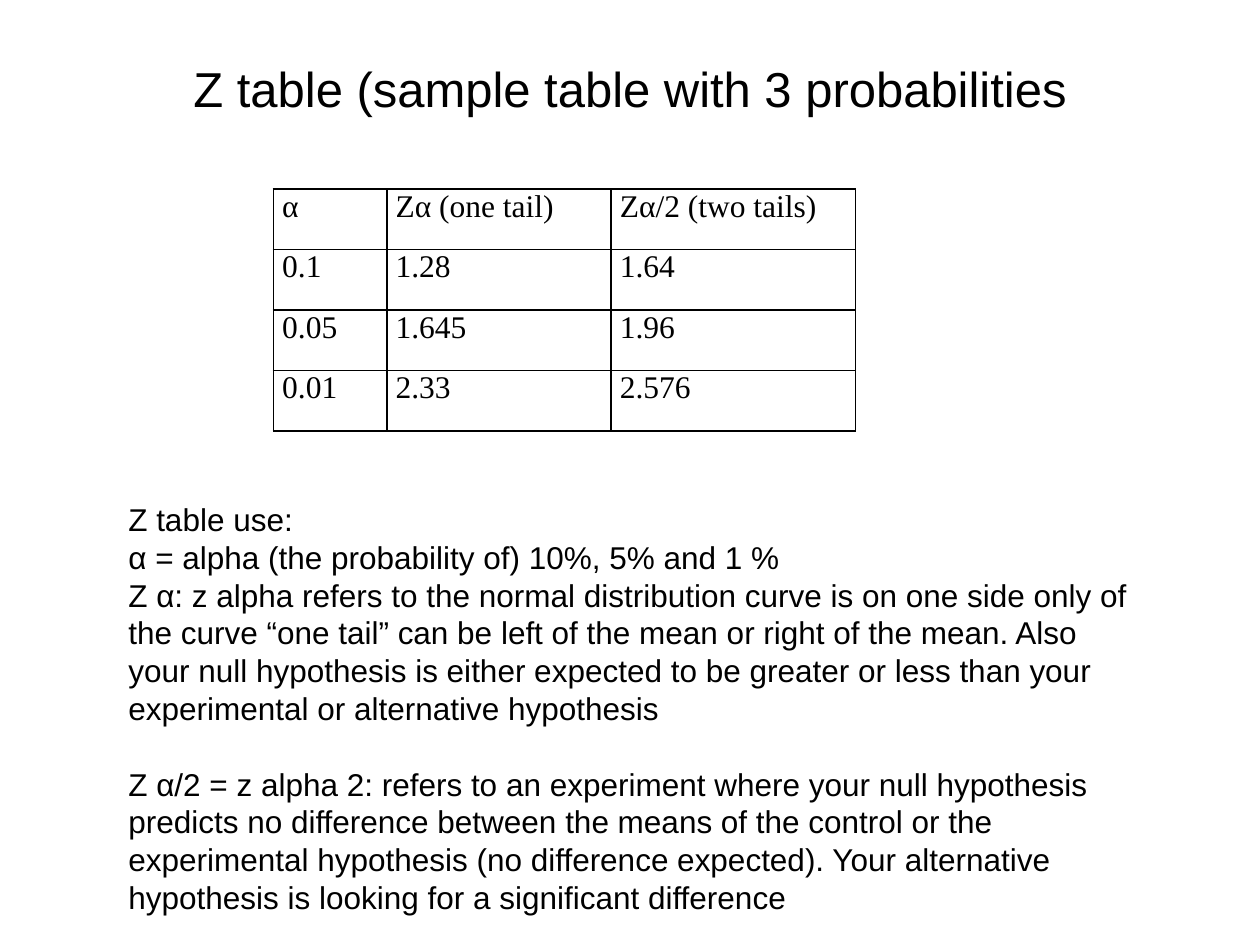
from dataclasses import dataclass

from lxml import etree
from pptx import Presentation
from pptx.dml.color import RGBColor
from pptx.enum.text import MSO_ANCHOR, MSO_AUTO_SIZE, PP_ALIGN
from pptx.oxml.ns import qn
from pptx.slide import Slide
from pptx.table import _Cell
from pptx.text.text import _Paragraph
from pptx.util import Pt

CENTER, LEFT = PP_ALIGN.CENTER, PP_ALIGN.LEFT
MIDDLE, TOP = MSO_ANCHOR.MIDDLE, MSO_ANCHOR.TOP
GROW, FIXED = MSO_AUTO_SIZE.SHAPE_TO_FIT_TEXT, MSO_AUTO_SIZE.NONE
TITLE_ONLY = 5
COLORS = {"text": "000000", "border": "000000", "background": "FFFFFF"}
LINE_HEIGHT = 21.6


@dataclass
class Style:
    font: str
    size: float
    align: PP_ALIGN = LEFT


@dataclass
class Note:
    text: str
    gap_before: float = 0


TITLE_STYLE = Style("Arial", 28, CENTER)
TABLE_STYLE = Style("Times New Roman", 18)
NOTE_STYLE = Style("Arial", 18)

COLUMN_WIDTHS = [64.8, 128.16, 139.68]
ROW_HEIGHT = 34.56
Z_VALUES = [
    ("α", "Zα (one tail)", "Zα/2 (two tails)"),
    ("0.1", "1.28", "1.64"),
    ("0.05", "1.645", "1.96"),
    ("0.01", "2.33", "2.576"),
]
NOTES = [
    Note("Z table use:"),
    Note("α = alpha (the probability of) 10%, 5% and 1 %"),
    Note("Z α: z alpha refers to the normal distribution curve is on one side only of "
         "the curve “one tail” can be left of the mean or right of the mean. Also "
         "your null hypothesis is either expected to be greater or less than your "
         "experimental or alternative hypothesis"),
    Note("Z α/2 = z alpha 2: refers to an experiment where your null hypothesis "
         "predicts no difference between the means of the control or the "
         "experimental hypothesis (no difference expected). Your alternative "
         "hypothesis is looking for a significant difference", LINE_HEIGHT),
]


def write(para: _Paragraph, text: str, style: Style) -> None:
    para.text = text
    para.alignment = style.align
    for span in para.runs:
        span.font.name = style.font
        span.font.size = Pt(style.size)
        span.font.color.rgb = RGBColor.from_string(COLORS["text"])


def add_borders(cell: _Cell, width: float) -> None:
    properties = cell._tc.get_or_add_tcPr()
    for position, side in enumerate(("a:lnL", "a:lnR", "a:lnT", "a:lnB")):
        line = etree.Element(qn(side), w=str(Pt(width)))
        fill = etree.SubElement(line, qn("a:solidFill"))
        etree.SubElement(fill, qn("a:srgbClr"), val=COLORS["border"])
        properties.insert(position, line)


def add_title(page: Slide, text: str) -> None:
    title = page.shapes.title
    title.left, title.top, title.width, title.height = Pt(36), Pt(21.6), Pt(648), Pt(90)
    frame = title.text_frame
    frame.auto_size = FIXED
    frame.vertical_anchor = MIDDLE
    # The deep bottom margin lifts the line above the middle
    frame.margin_bottom = Pt(35.8)
    write(frame.paragraphs[0], text, TITLE_STYLE)


def add_z_table(page: Slide) -> None:
    table = page.shapes.add_table(
        len(Z_VALUES), len(COLUMN_WIDTHS), Pt(156.24), Pt(108),
        Pt(sum(COLUMN_WIDTHS)), Pt(ROW_HEIGHT * len(Z_VALUES))).table
    table.first_row = table.horz_banding = False
    for column, width in zip(table.columns, COLUMN_WIDTHS):
        column.width = Pt(width)
    for row, values in zip(table.rows, Z_VALUES):
        row.height = Pt(ROW_HEIGHT)
        for cell, value in zip(row.cells, values):
            cell.margin_left = cell.margin_right = Pt(5.04)
            cell.margin_top = cell.margin_bottom = Pt(0)
            cell.vertical_anchor = TOP
            cell.fill.background()
            add_borders(cell, 1)
            write(cell.text_frame.paragraphs[0], value, TABLE_STYLE)


def add_notes(page: Slide) -> None:
    box = page.shapes.add_textbox(Pt(66.24), Pt(282.24), Pt(594), Pt(290.88))
    frame = box.text_frame
    frame.word_wrap = True
    frame.auto_size = GROW
    for index, note in enumerate(NOTES):
        para = frame.add_paragraph() if index else frame.paragraphs[0]
        write(para, note.text, NOTE_STYLE)
        para.line_spacing = Pt(LINE_HEIGHT)
        para.space_before = Pt(note.gap_before)


def main() -> None:
    deck = Presentation()
    deck.slide_width, deck.slide_height = Pt(720), Pt(540)
    page = deck.slides.add_slide(deck.slide_layouts[TITLE_ONLY])
    page.background.fill.solid()
    page.background.fill.fore_color.rgb = RGBColor.from_string(COLORS["background"])
    add_title(page, "Z table (sample table with 3 probabilities")
    add_z_table(page)
    add_notes(page)
    deck.save("out.pptx")


if __name__ == "__main__":
    main()
